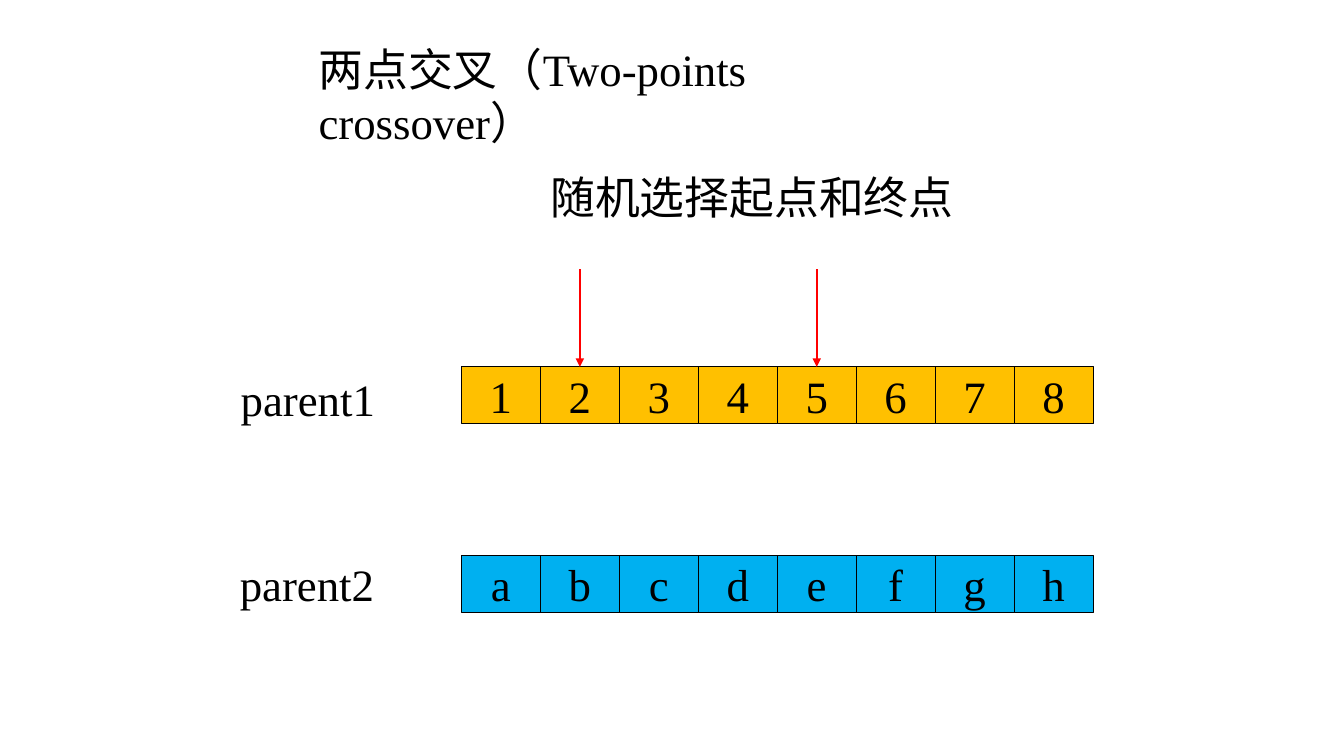
"""Builds a slide on the two-point crossover of two parent chromosomes."""
from lxml import etree
from pptx import Presentation
from pptx import util as u
from pptx.dml.color import RGBColor
from pptx.enum import shapes, text
from pptx.oxml.ns import qn

INK, RED, AMBER, BLUE = "000000", "FF0000", "FFC000", "00B0F0"
GENE_WIDTH, GENE_HEIGHT = 56.4, 40.5
GENES_LEFT, PARENT1_TOP, PARENT2_TOP = 329.6, 262, 396.7
CUT_GENES = (2, 5)


def color(hex_code):
    """Return the colour for a hex string."""
    return RGBColor.from_string(hex_code)


def points(*lengths):
    """Convert numbers to lengths in points."""
    return [u.Pt(length) for length in lengths]


def write(frame, wording, align=text.PP_ALIGN.LEFT, anchor=text.MSO_ANCHOR.TOP):
    """Write one paragraph in the slide's type style."""
    frame.auto_size = text.MSO_AUTO_SIZE.NONE
    frame.word_wrap = True
    frame.vertical_anchor = anchor
    paragraph = frame.paragraphs[0]
    paragraph.alignment = align
    run = paragraph.add_run()
    run.text = wording
    run.font.name = "Times New Roman"
    run.font.size = u.Pt(32)
    run.font.color.rgb = color(INK)


def add_heading(slide, left, top, width, height):
    """Place the title, set narrow enough to break before its last word."""
    heading = slide.shapes.title
    heading.left, heading.top, heading.width, heading.height = points(
        left, top, width, height)
    write(heading.text_frame, "两点交叉（Two-points crossover）")
    heading.text_frame.margin_right = u.Pt(135)


def add_label(slide, wording, left, top, width, height):
    """Place a plain line of text."""
    label = slide.shapes.add_textbox(*points(left, top, width, height))
    write(label.text_frame, wording)


def add_chromosome(slide, genes, fill, left, top):
    """Place a row of adjoining gene cells."""
    for index, gene in enumerate(genes):
        cell = slide.shapes.add_shape(
            shapes.MSO_SHAPE.RECTANGLE,
            *points(left + index * GENE_WIDTH, top, GENE_WIDTH, GENE_HEIGHT))
        cell.shadow.inherit = False
        cell.fill.solid()
        cell.fill.fore_color.rgb = color(fill)
        cell.line.color.rgb = color(INK)
        cell.line.width = u.Pt(0.5)
        write(cell.text_frame, gene, text.PP_ALIGN.CENTER, text.MSO_ANCHOR.MIDDLE)


def add_cut_arrows(slide, left, bottom, length):
    """Point a red arrow at the middle of each chosen gene."""
    for gene_number in CUT_GENES:
        center = left + (gene_number - 0.5) * GENE_WIDTH
        arrow = slide.shapes.add_connector(
            shapes.MSO_CONNECTOR.STRAIGHT,
            *points(center, bottom - length, center, bottom))
        arrow.line.color.rgb = color(RED)
        arrow.line.width = u.Pt(1.5)
        etree.SubElement(arrow.line._get_or_add_ln(), qn("a:tailEnd"), type="triangle")
        etree.SubElement(arrow._element.spPr, qn("a:effectLst"))


def add_crossover_slide(deck):
    """Compose the crossover slide."""
    slide = deck.slides.add_slide(deck.slide_layouts[5])
    add_heading(slide, 220.3, 25.9, 487.4, 46)
    add_label(slide, "随机选择起点和终点", 386, 118, 305, 46)
    add_label(slide, "parent1", 164.9, 262, 119.5, 46)
    add_label(slide, "parent2", 164.2, 394, 119.5, 46)
    add_chromosome(slide, "12345678", AMBER, GENES_LEFT, PARENT1_TOP)
    add_chromosome(slide, "abcdefgh", BLUE, GENES_LEFT, PARENT2_TOP)
    add_cut_arrows(slide, GENES_LEFT, PARENT1_TOP, 69.8)


deck = Presentation()
deck.slide_width, deck.slide_height = points(960, 540)
add_crossover_slide(deck)
deck.save("out.pptx")
